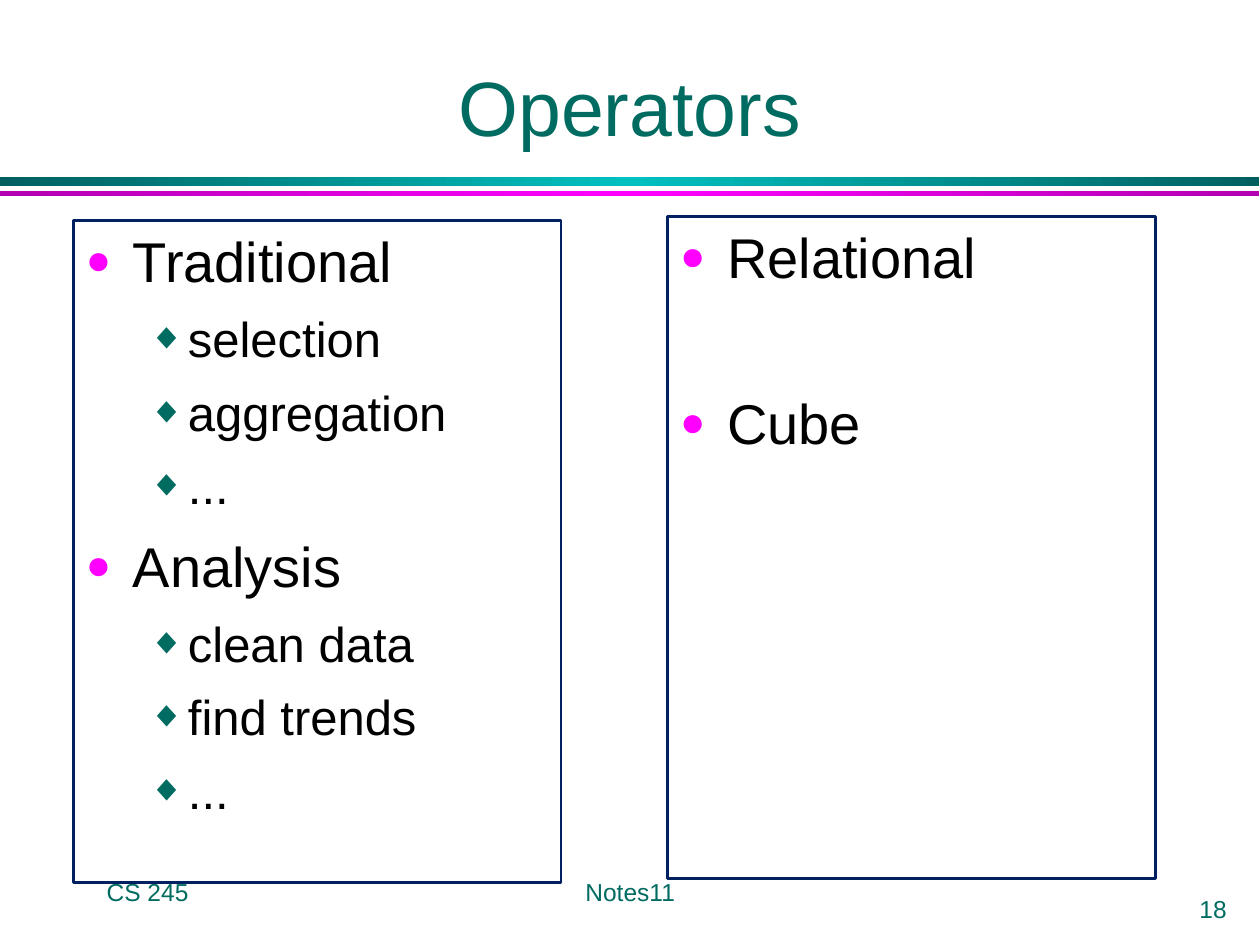
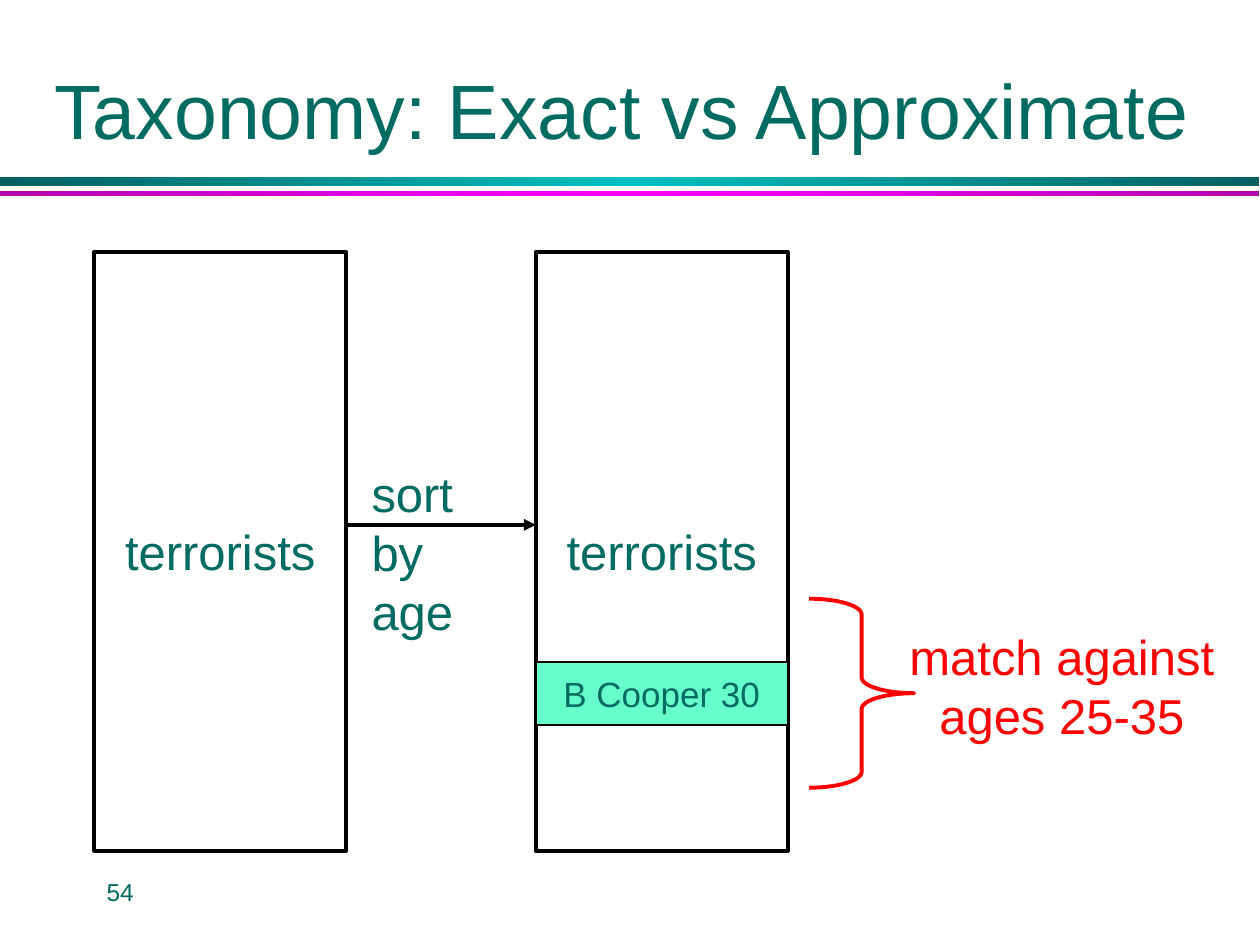
from copy import deepcopy

from lxml.etree import SubElement
from pptx import Presentation
from pptx.dml.color import RGBColor
from pptx.enum.shapes import MSO_CONNECTOR, MSO_SHAPE
from pptx.enum.text import MSO_ANCHOR, MSO_AUTO_SIZE, PP_ALIGN
from pptx.oxml.ns import qn
from pptx.util import Cm, Pt

FONT = "Arial"
GREEN = "006B61"
MAGENTA = "FF00FF"
NAVY = "002060"
BLACK = "000000"
RED = "FF0000"
MINT = "66FFCC"

TITLE_ONLY = 5
LEFT, CENTER, RIGHT = PP_ALIGN.LEFT, PP_ALIGN.CENTER, PP_ALIGN.RIGHT

# top, height, edge colour, middle colour
BANDS = [(3.56, 0.2, "006060", "00C0C0"), (3.86, 0.1, "B200B2", MAGENTA)]
BAND_WIDTH = 25.38

# size, space before, left margin (cm), hanging indent (cm), bullet, bullet colour
BULLET_LEVELS = [
    (32, 9.6, 0.95, 0.95, "●", MAGENTA),
    (28, 8.4, 2.06, 0.79, "◆", GREEN),
]


def color(hex_string):
    return RGBColor.from_string(hex_string)


def box(left, top, width, height):
    return Cm(left), Cm(top), Cm(width), Cm(height)


def add_run(paragraph, text, size, text_color=GREEN):
    run = paragraph.add_run()
    run.text = text
    run.font.name = FONT
    run.font.size = Pt(size)
    run.font.color.rgb = color(text_color)


def write_lines(shape, lines, size, text_color=GREEN, align=CENTER, anchor=MSO_ANCHOR.MIDDLE):
    frame = shape.text_frame
    frame.word_wrap = False
    frame.vertical_anchor = anchor
    for index, line in enumerate(lines):
        paragraph = frame.add_paragraph() if index else frame.paragraphs[0]
        paragraph.alignment = align
        add_run(paragraph, line, size, text_color)


def add_outlined(slide, kind, area, line_color, line_width, fill=None):
    shape = slide.shapes.add_shape(kind, *box(*area))
    shape.shadow.inherit = False
    if fill:
        shape.fill.solid()
        shape.fill.fore_color.rgb = color(fill)
    else:
        shape.fill.background()
    shape.line.color.rgb = color(line_color)
    shape.line.width = Pt(line_width)
    return shape


def add_band(slide, top, height, edge, middle):
    """Add a full-width bar that runs from edge to middle and back to edge."""
    band = slide.shapes.add_shape(MSO_SHAPE.RECTANGLE, *box(0, top, BAND_WIDTH, height))
    band.shadow.inherit = False
    band.line.fill.background()
    band.fill.gradient()
    band.fill.gradient_angle = 0
    stop_list = band._element.spPr.find(qn("a:gradFill")).find(qn("a:gsLst"))
    stop_list.append(deepcopy(stop_list[-1]))
    stops = zip(band.fill.gradient_stops, (0, 0.5, 1), (edge, middle, edge))
    for stop, position, stop_color in stops:
        stop.position = position
        stop.color.rgb = color(stop_color)


def add_titled_slide(presentation, title, area):
    slide = presentation.slides.add_slide(presentation.slide_layouts[TITLE_ONLY])
    for band in BANDS:
        add_band(slide, *band)
    placeholder = slide.shapes.title
    placeholder.left, placeholder.top, placeholder.width, placeholder.height = box(*area)
    frame = placeholder.text_frame
    frame.auto_size = MSO_AUTO_SIZE.NONE
    frame.word_wrap = True
    frame.vertical_anchor = MSO_ANCHOR.BOTTOM
    frame.paragraphs[0].alignment = CENTER
    add_run(frame.paragraphs[0], title, 44)
    return slide


def add_label(slide, area, lines, size, **style):
    write_lines(slide.shapes.add_textbox(*box(*area)), lines, size, **style)


def add_left_footer(slide, text):
    add_label(slide, (1.9, 17.35, 5.28, 1.27), [text], 14, align=LEFT)


def set_bullet(paragraph, margin, hanging, character, bullet_color):
    properties = paragraph._p.get_or_add_pPr()
    properties.set("marL", str(Cm(margin)))
    properties.set("indent", str(-Cm(hanging)))
    bullet = SubElement(properties, qn("a:buClr"))
    SubElement(bullet, qn("a:srgbClr"), val=bullet_color)
    SubElement(properties, qn("a:buSzPct"), val="75000")
    SubElement(properties, qn("a:buFont"), typeface=FONT)
    SubElement(properties, qn("a:buChar"), char=character)


def add_bullet_panel(slide, left, top, items):
    """Add a framed list; each item is (level, text) or (level, text, space before)."""
    area = (left, top, 9.83, 13.34)
    panel = add_outlined(slide, MSO_SHAPE.RECTANGLE, area, NAVY, 1.5)
    frame = panel.text_frame
    frame.word_wrap = True
    frame.vertical_anchor = MSO_ANCHOR.TOP
    for index, (level, text, *space) in enumerate(items):
        size, usual_space, *bullet = BULLET_LEVELS[level]
        paragraph = frame.add_paragraph() if index else frame.paragraphs[0]
        paragraph.level = level
        paragraph.alignment = LEFT
        paragraph.space_before = Pt(space[0] if space else usual_space)
        set_bullet(paragraph, *bullet)
        add_run(paragraph, text, size, BLACK)


def add_table_box(slide, left, text):
    area = (left, 5.08, 5.08, 12.07)
    table_box = add_outlined(slide, MSO_SHAPE.RECTANGLE, area, BLACK, 2.25)
    write_lines(table_box, [text], 28)


def add_arrow(slide, start, end, y):
    arrow = slide.shapes.add_connector(MSO_CONNECTOR.STRAIGHT, Cm(start), Cm(y), Cm(end), Cm(y))
    arrow.line.color.rgb = color(BLACK)
    arrow.line.width = Pt(2.25)
    SubElement(arrow.line._get_or_add_ln(), qn("a:tailEnd"), type="triangle")
    SubElement(arrow._element.spPr, qn("a:effectLst"))


def build_operators(presentation):
    slide = add_titled_slide(presentation, "Operators", (1.9, 0.64, 21.59, 2.54))
    add_bullet_panel(slide, 1.48, 4.45, [
        (0, "Traditional"), (1, "selection"), (1, "aggregation"), (1, "..."),
        (0, "Analysis"), (1, "clean data"), (1, "find trends"), (1, "..."),
    ])
    add_left_footer(slide, "CS 245")
    add_label(slide, (8.68, 17.35, 8.05, 1.27), ["Notes11"], 14)
    add_label(slide, (22.86, 17.99, 2.12, 0.64), ["18"], 14, align=RIGHT)
    add_bullet_panel(slide, 13.46, 4.37, [(0, "Relational"), (0, "Cube", 56)])


def build_taxonomy(presentation):
    slide = add_titled_slide(presentation, "Taxonomy: Exact vs Approximate", (0, 0.79, 25.08, 2.46))
    add_left_footer(slide, "54")
    add_table_box(slide, 1.9, "terrorists")
    add_arrow(slide, 6.98, 10.8, 10.58)
    add_table_box(slide, 10.8, "terrorists")
    add_label(slide, (7.24, 9.22, 3.45, 2.64), ["sort", "by age"], 28,
              align=LEFT, anchor=MSO_ANCHOR.TOP)
    record = add_outlined(slide, MSO_SHAPE.RECTANGLE, (10.8, 13.34, 5.08, 1.27), BLACK, 1, MINT)
    write_lines(record, ["B Cooper 30"], 20)
    brace = add_outlined(slide, MSO_SHAPE.RIGHT_BRACE, (16.31, 12.07, 2.12, 3.81), RED, 2.25)
    brace.adjustments[0] = 0.15
    add_label(slide, (18.08, 12.5, 6.65, 2.64), ["match against", "ages 25-35"], 28,
              text_color=RED, anchor=MSO_ANCHOR.TOP)


def main():
    presentation = Presentation()
    presentation.slide_width = Cm(25.4)
    presentation.slide_height = Cm(19.05)
    build_operators(presentation)
    build_taxonomy(presentation)
    presentation.save("out.pptx")


if __name__ == "__main__":
    main()
